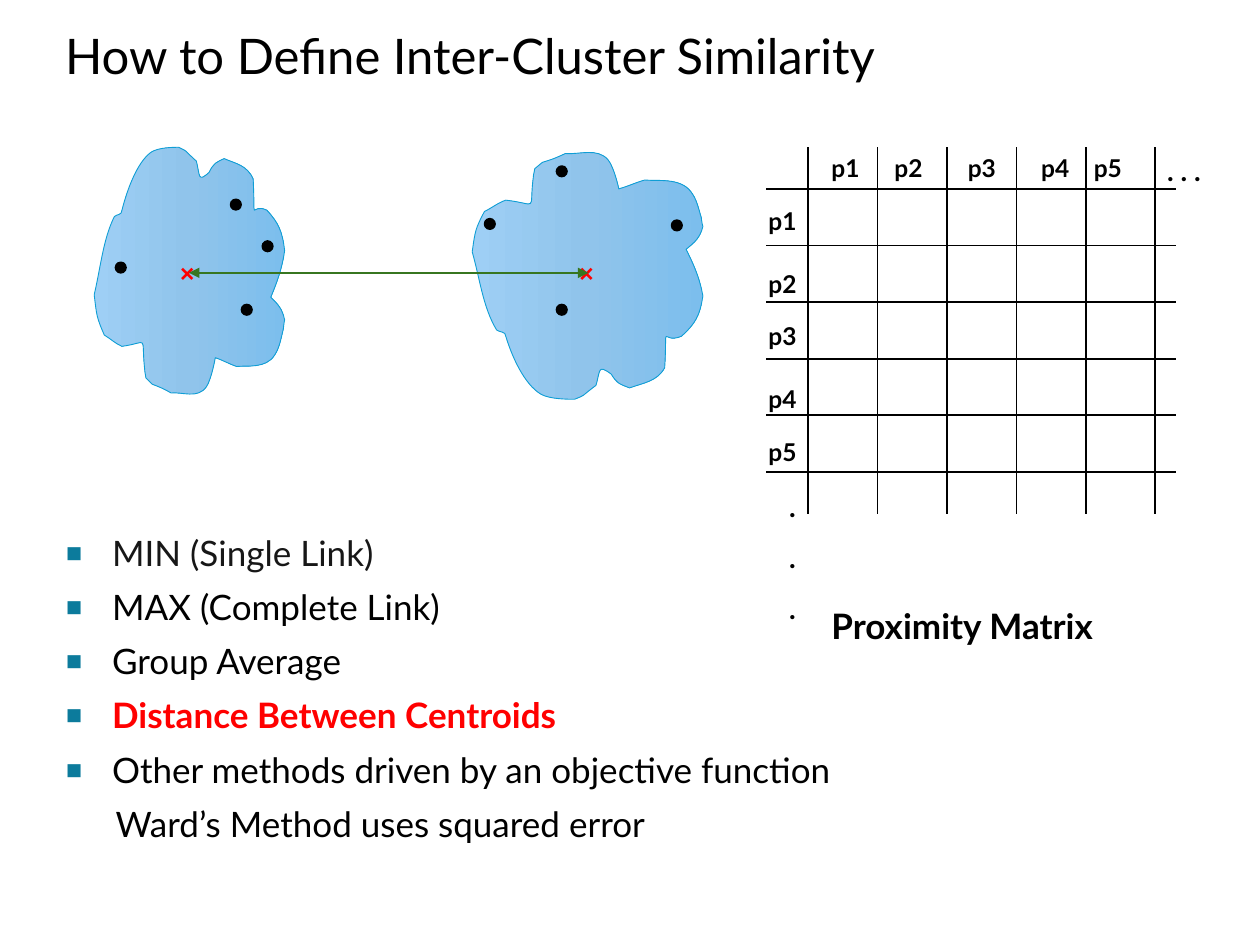
"""Builds the slide on inter-cluster similarity measured between centroids."""
from copy import deepcopy
from dataclasses import dataclass
from typing import Any

from pptx import Presentation
from pptx.dml.color import RGBColor as Rgb
from pptx.enum.shapes import MSO_CONNECTOR as Connector, MSO_SHAPE as Preset
from pptx.enum.text import MSO_ANCHOR as Anchor, MSO_AUTO_SIZE as AutoSize, PP_ALIGN as Align
from pptx.oxml.ns import qn
from pptx.util import Cm, Pt
from lxml.etree import SubElement

COLORS = {
    "black": "000000", "soft black": "171717", "red": "FF0000", "green": "377620",
    "bullet": "0C7B9C", "outline": "0F9ED5",
    "light": "9ECFF5", "middle": "90C4EB", "deep": "7CBEED",
}

CLUSTER_START = (0.91, 1.72)
CLUSTER_CURVES = [
    (0.82, 1.9, 0.8, 2.13, 0.75, 2.34), (0.77, 2.51, 0.77, 2.52, 0.83, 2.66),
    (0.88, 2.69, 0.92, 2.73, 0.97, 2.75), (1.19, 2.72, 1.12, 2.65, 1.15, 2.93),
    (1.15, 2.96, 1.16, 2.98, 1.16, 3), (1.23, 3.07, 1.19, 3.04, 1.26, 3.07),
    (1.29, 3.08, 1.36, 3.12, 1.36, 3.12), (1.45, 3.11, 1.57, 3.17, 1.64, 3.07),
    (1.68, 3.01, 1.71, 2.84, 1.71, 2.84), (1.77, 2.86, 1.82, 2.89, 1.88, 2.91),
    (1.96, 2.9, 2.11, 2.93, 2.18, 2.82), (2.22, 2.76, 2.23, 2.69, 2.25, 2.61),
    (2.25, 2.59, 2.26, 2.54, 2.26, 2.54), (2.24, 2.45, 2.21, 2.42, 2.15, 2.36),
    (2.2, 2.24, 2.24, 2.13, 2.26, 1.99), (2.24, 1.83, 2.21, 1.77, 2.12, 1.67),
    (1.98, 1.6, 2.03, 1.82, 2.01, 1.42), (1.96, 1.31, 1.87, 1.3, 1.78, 1.26),
    (1.72, 1.29, 1.7, 1.29, 1.66, 1.37), (1.57, 1.45, 1.59, 1.4, 1.56, 1.28),
    (1.45, 1.18, 1.5, 1.21, 1.42, 1.17), (1.38, 1.17, 1.26, 1.17, 1.2, 1.21),
    (1.09, 1.29, 1.01, 1.51, 0.97, 1.67), (0.97, 1.71, 0.93, 1.7, 0.91, 1.72),
]


def cluster_controls():
    """Return the control points of the cluster curves, scaled to a unit square."""
    points = [CLUSTER_START]
    for curve in CLUSTER_CURVES:
        points += [curve[:2], curve[2:4], curve[4:]]
    return [((x - 0.75) / 1.51, (y - 1.17) / 2) for x, y in points]


@dataclass
class SlideBuilder:
    """Holds the style and the slide being drawn."""
    slide: Any
    font: str = "Lato"

    def color(self, name):
        """Return a named colour."""
        return Rgb.from_string(COLORS[name])

    def style(self, paragraph, size, color="black", bold=False, font=None):
        """Format the runs of a paragraph."""
        for run in paragraph.runs:
            run.font.name = font or self.font
            run.font.size = Pt(size)
            run.font.bold = bold
            run.font.color.rgb = self.color(color)

    def title(self, text, left, top, width, height):
        """Move, fill and format the title."""
        heading = self.slide.shapes.title
        heading.left, heading.top, heading.width, heading.height = map(Cm, (left, top, width, height))
        frame = heading.text_frame
        frame.text = text
        frame.vertical_anchor = Anchor.MIDDLE
        frame.paragraphs[0].alignment = Align.LEFT
        frame.paragraphs[0].line_spacing = 0.9
        self.style(frame.paragraphs[0], 28)

    def label(self, text, left, top, width, height, size=14, color="black", font=None):
        """Add a bold label that fits its text."""
        frame = self.slide.shapes.add_textbox(*map(Cm, (left, top, width, height))).text_frame
        frame.word_wrap = True
        frame.auto_size = AutoSize.SHAPE_TO_FIT_TEXT
        frame.text = text
        for paragraph in frame.paragraphs:
            paragraph.space_before = Pt(size * 0.625)
            self.style(paragraph, size, color, True, font)

    def line(self, start, end, color="black", width=1, arrows=False):
        """Add a straight line, with arrowheads at both ends if asked."""
        connector = self.slide.shapes.add_connector(Connector.STRAIGHT, *map(Cm, start + end))
        connector.line.color.rgb = self.color(color)
        connector.line.width = Pt(width)
        if arrows:
            for tip in ("a:headEnd", "a:tailEnd"):
                SubElement(connector.line._get_or_add_ln(), qn(tip), type="triangle")
        SubElement(connector._element.spPr, qn("a:effectLst"))

    def dot(self, left, top, size=0.21):
        """Add a data point."""
        point = self.slide.shapes.add_shape(Preset.OVAL, Cm(left), Cm(top), Cm(size), Cm(size))
        point.shadow.inherit = False
        point.fill.solid()
        point.fill.fore_color.rgb = self.color("black")
        point.line.color.rgb = self.color("black")
        point.line.width = Pt(1)

    def cluster(self, left, top, width, height, flipped=False):
        """Add a curved cluster outline stretched to a box."""
        start, *controls = [
            (Cm(left + width * x), Cm(top + height * (1 - y if flipped else y)))
            for x, y in cluster_controls()
        ]
        builder = self.slide.shapes.build_freeform(*start)
        builder.add_line_segments(controls, close=True)
        blob = builder.convert_to_shape()
        segments = list(blob._element.iter(qn("a:lnTo")))
        for first in range(0, len(segments), 3):
            curve = blob._element.makeelement(qn("a:cubicBezTo"))
            segments[first].addprevious(curve)
            for segment in segments[first:first + 3]:
                curve.append(segment[0])
                segment.getparent().remove(segment)
        blob.shadow.inherit = False
        blob.line.color.rgb = self.color("outline")
        blob.line.width = Pt(0.5)
        blob.fill.gradient()
        blob.fill.gradient_angle = 0
        first_stop = blob._element.spPr.find(".//" + qn("a:gs"))
        first_stop.addnext(deepcopy(first_stop))
        for stop, name, position in zip(blob.fill.gradient_stops, ("light", "middle", "deep"), (0, 0.5, 1)):
            stop.color.rgb = self.color(name)
            stop.position = position

    def bullets(self, items, left, top, width, height, size=20):
        """Add a list of (text, colour, bold, bulleted) items."""
        frame = self.slide.shapes.add_textbox(*map(Cm, (left, top, width, height))).text_frame
        frame.word_wrap = True
        frame.text = "\n".join(item[0] for item in items)
        for paragraph, (_, color, bold, bulleted) in zip(frame.paragraphs, items):
            paragraph.space_before, paragraph.space_after = Pt(3), Pt(4)
            self.style(paragraph, size, color, bold)
            props = paragraph._p.get_or_add_pPr()
            props.set("marL", str(Cm(0.95 if bulleted else 1.02)))
            props.set("indent", str(Cm(-0.95 if bulleted else 0)))
            if bulleted:
                SubElement(SubElement(props, qn("a:buClr")), qn("a:srgbClr"), val=COLORS["bullet"])
                SubElement(props, qn("a:buSzPct"), val="150000")
                SubElement(props, qn("a:buFont"), typeface="Arial")
                SubElement(props, qn("a:buChar"), char="▪")
            else:
                paragraph.level = 1
                SubElement(props, qn("a:buNone"))


def main():
    """Draw the slide and save it."""
    deck = Presentation()
    deck.slide_width, deck.slide_height = Cm(25.4), Cm(19.05)
    page = SlideBuilder(deck.slides.add_slide(deck.slide_layouts[5]))
    page.title("How to Define Inter-Cluster Similarity", 1.06, 0.42, 23.01, 1.52)

    for index in range(6):
        column, row = 16.29 + 1.4 * index, 3.81 + 1.14 * index
        page.line((column, 2.97), (column, 10.37))
        page.line((15.45, row), (23.7, row))
    row_tops = (4.02, 5.29, 6.35, 7.62, 8.69)
    column_lefts = (16.51, 17.78, 19.26, 20.74, 21.8)
    for number, (top, left) in enumerate(zip(row_tops, column_lefts), 1):
        page.label(f"p{number}", 15.24, top, 1.48, 0.85)
        page.label(f"p{number}", left, 2.97, 1.48, 0.85)
    page.label(". . .", 23.28, 2.97, 1.48, 0.93, size=16)
    page.label(".\n.\n.", 15.66, 9.74, 1.48, 3.01, size=16)
    page.label("Proximity Matrix", 16.51, 12.07, 6.99, 1.12, size=20)

    page.cluster(1.9, 2.97, 3.84, 5.08)
    page.cluster(9.52, 2.97, 4.65, 5.08, flipped=True)
    for left, top in ((4.87, 6.14), (4.65, 4.02), (2.33, 5.29), (5.29, 4.86),
                      (13.54, 4.44), (9.77, 4.41), (11.22, 6.14), (11.22, 3.35)):
        page.dot(left, top)
    for centroid_left in (3.38, 11.43):
        page.label("×", centroid_left, 5.08, 0.64, 0.85, color="red", font="Arial")
    page.line((3.81, 5.5), (11.86, 5.5), "green", 1.5, arrows=True)

    page.bullets([
        ("MIN (Single Link)", "soft black", False, True),
        ("MAX (Complete Link)", "black", False, True),
        ("Group Average", "black", False, True),
        ("Distance Between Centroids", "red", True, True),
        ("Other methods driven by an objective function", "black", False, True),
        ("Ward’s Method uses squared error", "black", False, False),
    ], 1.06, 10.58, 16.08, 8.69)
    deck.save("out.pptx")


if __name__ == "__main__":
    main()
